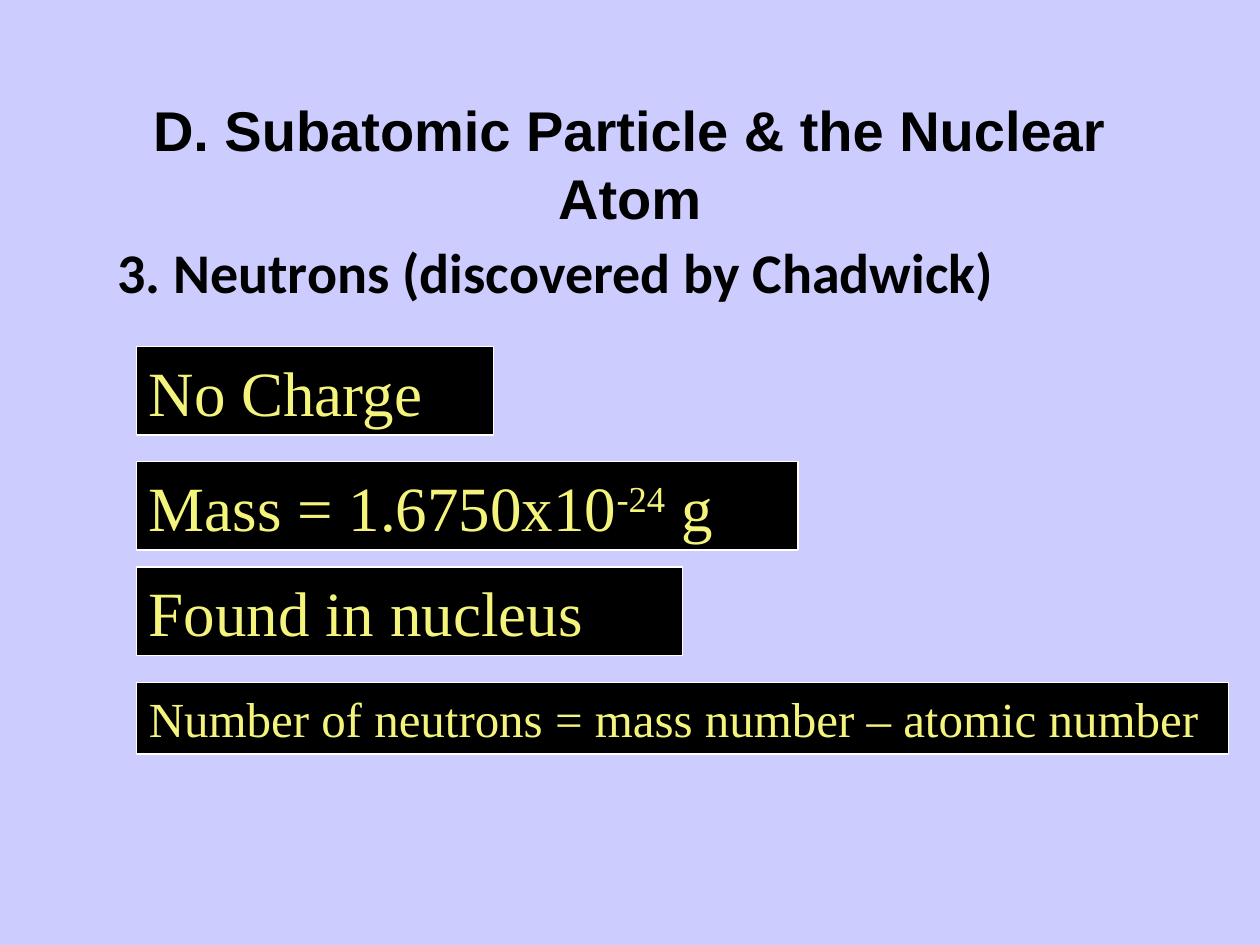
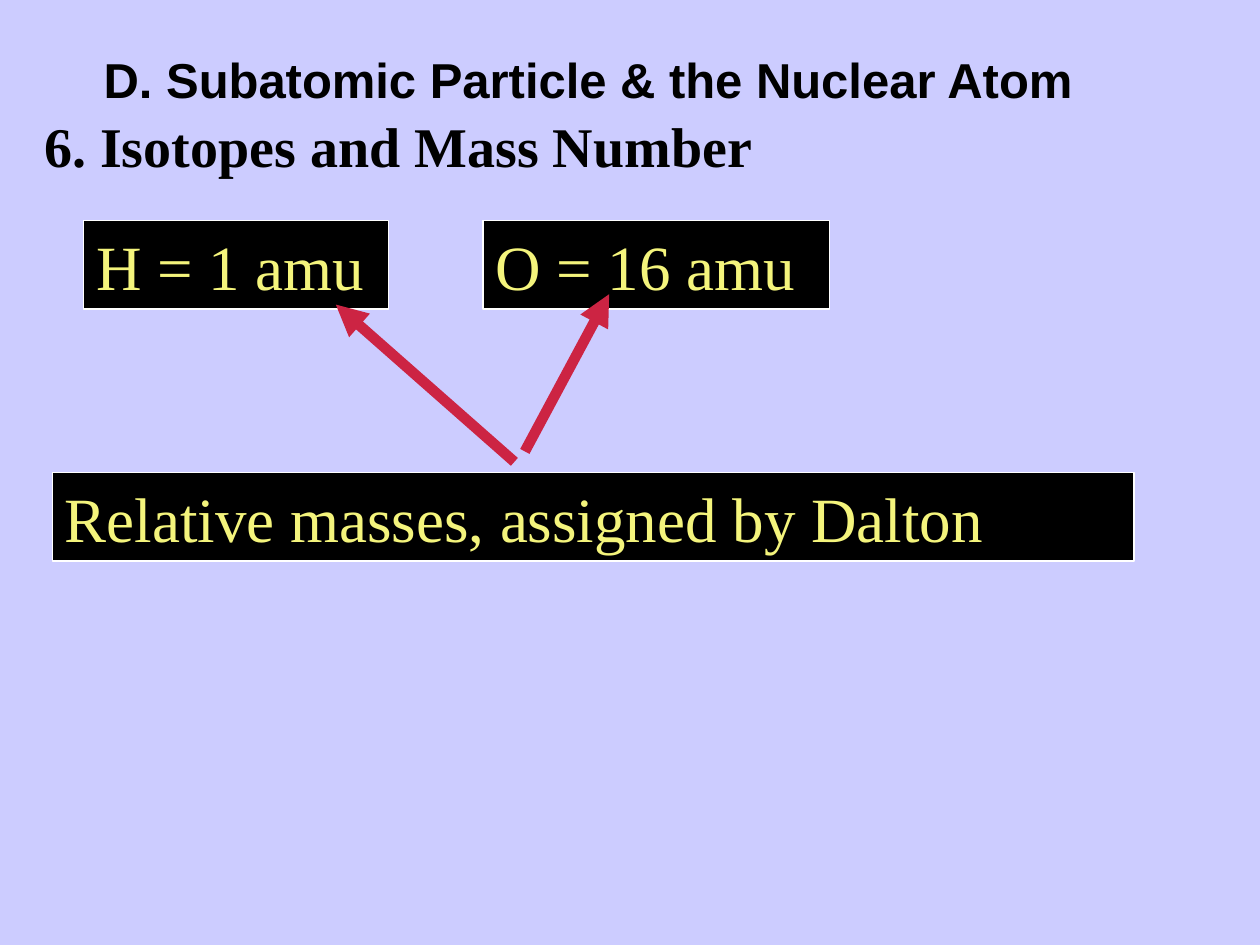
import pptx
import pptx.dml.color
import pptx.enum.shapes
import pptx.enum.text
import pptx.oxml.ns
import pptx.util
import lxml.etree

Cm = pptx.util.Cm
Pt = pptx.util.Pt
AutoSize = pptx.enum.text.MSO_AUTO_SIZE
Anchor = pptx.enum.text.MSO_ANCHOR
Align = pptx.enum.text.PP_ALIGN

TITLE = "D. Subatomic Particle & the Nuclear Atom"
BACKGROUND, INK, PAPER = "CCCCFF", "000000", "FFFFFF"
FACT_TEXT, ARROW = "F4F47C", "CC2443"
TITLE_ONLY = 5


def colour(hex_code):
    return pptx.dml.color.RGBColor.from_string(hex_code)


def apply(target, values):
    for name, value in values.items():
        setattr(target, name, value)


class Lesson:
    title_style = {"name": "Arial", "bold": True}
    heading_style = {"size": Pt(32), "bold": True}
    fact_style = {"name": "Times New Roman", "bold": False}
    frame_style = {
        "word_wrap": True,
        "margin_left": Cm(0.25),
        "margin_right": Cm(0.25),
        "margin_top": Cm(0.13),
        "margin_bottom": Cm(0.13),
    }

    def __init__(self):
        self.deck = pptx.Presentation()
        apply(self.deck, {"slide_width": Cm(25.4), "slide_height": Cm(19.05)})
        fill = self.deck.slide_master.background.fill
        fill.solid()
        fill.fore_color.rgb = colour(BACKGROUND)
        self.page = None

    def set_text(self, box, parts, font, ink, align=Align.LEFT,
                 anchor=Anchor.TOP, auto_size=AutoSize.NONE):
        frame = box.text_frame
        apply(frame, {**self.frame_style, "vertical_anchor": anchor, "auto_size": auto_size})
        para = frame.paragraphs[0]
        para.alignment = align
        for part in parts:
            span = para.add_run()
            span.text = part
            apply(span.font, font)
            span.font.color.rgb = colour(ink)

    def add_page(self, left, top, size):
        self.page = self.deck.slides.add_slide(self.deck.slide_layouts[TITLE_ONLY])
        box = self.page.shapes.title
        apply(box, {"left": Cm(left), "top": Cm(top), "width": Cm(21.59), "height": Cm(3.18)})
        self.set_text(box, [TITLE], {**self.title_style, "size": Pt(size)}, INK,
                      Align.CENTER, Anchor.MIDDLE)

    def add_heading(self, text, left, top, width, font_name):
        box = self.page.shapes.add_textbox(Cm(left), Cm(top), Cm(width), Cm(1.63))
        self.set_text(box, [text], {**self.heading_style, "name": font_name}, INK)

    def add_fact(self, parts, left, top, width, height=1.78, size=36):
        box = self.page.shapes.add_shape(
            pptx.enum.shapes.MSO_SHAPE.RECTANGLE, Cm(left), Cm(top), Cm(width), Cm(height))
        box.shadow.inherit = False
        box.fill.solid()
        box.fill.fore_color.rgb = colour(INK)
        box.line.color.rgb = colour(PAPER)
        box.line.width = Pt(0.75)
        self.set_text(box, parts, {**self.fact_style, "size": Pt(size)}, FACT_TEXT,
                      auto_size=AutoSize.SHAPE_TO_FIT_TEXT)
        return box

    def raise_span(self, box, index):
        box.element.xpath(".//a:rPr")[index].set("baseline", "30000")

    def add_arrow(self, start, end):
        arrow = self.page.shapes.add_connector(
            pptx.enum.shapes.MSO_CONNECTOR.STRAIGHT, *map(Cm, start + end))
        arrow.line.color.rgb = colour(ARROW)
        arrow.line.width = Pt(6)
        qn = pptx.oxml.ns.qn
        outline = arrow.element.xpath(".//a:ln")[0]
        lxml.etree.SubElement(outline, qn("a:tailEnd"), type="triangle")
        lxml.etree.SubElement(outline.getparent(), qn("a:effectLst"))


def build_neutrons(lesson):
    lesson.add_page(1.9, 1.7, 32)
    lesson.add_heading("3. Neutrons (discovered by Chadwick)", 2.12, 4.65, 22.02, "Calibri")
    left = 2.75
    lesson.add_fact(["No Charge"], left, 6.99, 7.2)
    mass = lesson.add_fact(["Mass = 1.6750x10", "-24", " g"], left, 9.31, 13.34)
    lesson.raise_span(mass, 1)
    lesson.add_fact(["Found in nucleus"], left, 11.43, 11.01)
    lesson.add_fact(["Number of neutrons = mass number – atomic number"],
                    left, 13.76, 22.01, 1.44, 28)


def build_isotopes(lesson):
    lesson.add_page(1.06, 0, 28)
    lesson.add_fact(["H = 1 amu"], 1.69, 4.45, 6.14)
    lesson.add_fact(["Relative masses, assigned by Dalton"], 1.06, 9.53, 21.8)
    lesson.add_fact(["O = 16 amu"], 9.74, 4.45, 6.98)
    lesson.add_heading("6. Isotopes and Mass Number", 0.64, 2.12, 20.96, "Times New Roman")
    lesson.add_arrow((10.37, 9.31), (6.77, 6.14))
    lesson.add_arrow((10.58, 9.1), (12.28, 5.93))


def main():
    lesson = Lesson()
    build_neutrons(lesson)
    build_isotopes(lesson)
    lesson.deck.save("out.pptx")


if __name__ == "__main__":
    main()
